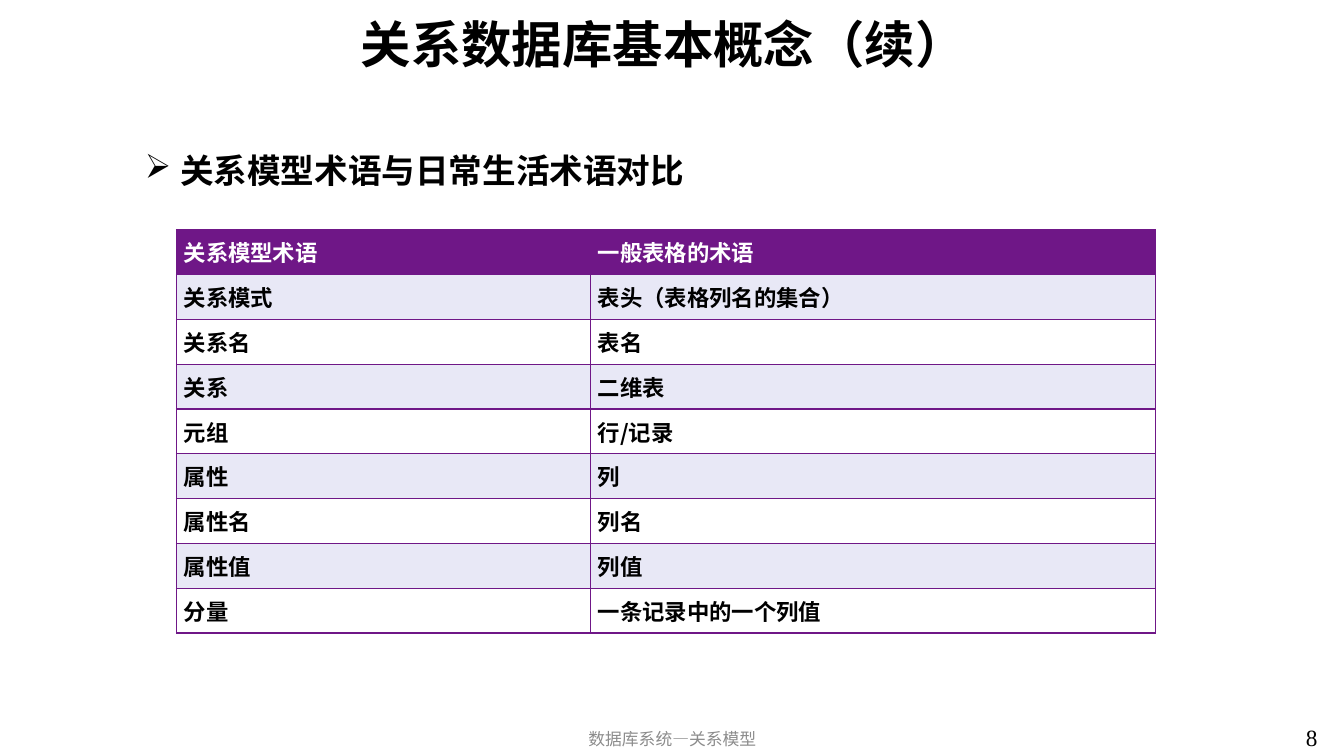
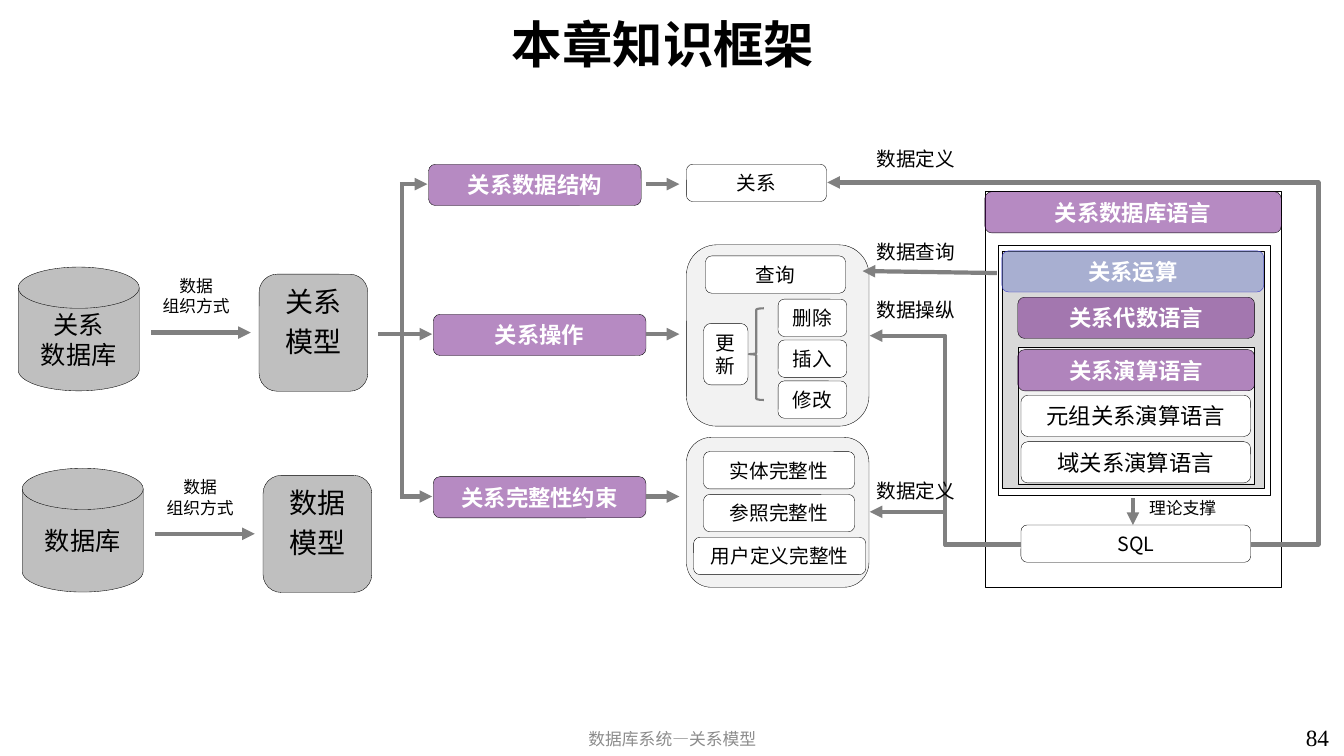
from dataclasses import dataclass

from lxml.etree import SubElement
from pptx import Presentation
from pptx.dml.color import RGBColor
from pptx.enum.shapes import MSO_CONNECTOR as Link, MSO_SHAPE as Kind
from pptx.enum.text import MSO_ANCHOR as Anchor, PP_ALIGN as Align
from pptx.oxml.ns import qn
from pptx.util import Cm, Pt


@dataclass(frozen=True)
class Theme:
    font: str = "Noto Sans CJK SC"
    number_font: str = "Times New Roman"
    black: str = "000000"
    white: str = "FFFFFF"
    purple: str = "6F1787"
    blue: str = "7886CA"
    blue_line: str = "3333CC"
    band: str = "E8E8F6"
    pale: str = "F2F2F2"
    light: str = "D9D9D9"
    silver: str = "BFBFBF"
    arrow: str = "808080"
    muted: str = "8C8C8C"
    title: float = 36
    heading: float = 24
    model: float = 20
    store: float = 18
    topic: float = 16
    item: float = 14
    note: float = 12
    number: float = 16.6
    hairline: float = 0.25
    brace: float = 1.5
    arrow_width: float = 3


THEME = Theme()
FOOTER = "数据库系统—关系模型"


class Deck:
    """Holds the style and the current slide, and draws each kind of element."""

    def __init__(self, theme):
        self.theme = theme
        self.show = Presentation()
        self.show.slide_width, self.show.slide_height = Cm(33.87), Cm(19.05)
        self.page = None

    def add_text(self, frame, lines, size, color=None, bold=False, align=Align.CENTER,
                 anchor=Anchor.TOP, font=None, gap=0):
        font = font or self.theme.font
        frame.word_wrap = True
        frame.vertical_anchor = anchor
        for index, line in enumerate(lines):
            para = frame.add_paragraph() if index else frame.paragraphs[0]
            para.alignment = align
            if index and gap:
                para.space_before = Pt(gap)
            span = para.add_run()
            span.text = line
            span.font.name = font
            span.font.size = Pt(size)
            span.font.bold = bold
            span.font.color.rgb = RGBColor.from_string(color or self.theme.black)
            SubElement(span.font._element, qn("a:ea"), typeface=font)

    def add_page(self, title, number):
        self.page = self.show.slides.add_slide(self.show.slide_layouts[5])
        box = self.page.shapes.title
        box.left, box.top, box.width, box.height = Cm(2.69), Cm(0.15), Cm(28.04), Cm(1.88)
        self.add_text(box.text_frame, [title], self.theme.title, bold=True,
                      anchor=Anchor.MIDDLE)
        self.label([FOOTER], 11.23, 18.19, 11.43, 0.86, self.theme.note,
                   color=self.theme.muted, anchor=Anchor.MIDDLE)
        self.label([str(number)], 32.66, 18.11, 1.2, 0.94, self.theme.number,
                   align=Align.LEFT, font=self.theme.number_font)

    def label(self, lines, left, top, width, height, size, **style):
        box = self.page.shapes.add_textbox(Cm(left), Cm(top), Cm(width), Cm(height))
        self.add_text(box.text_frame, lines, size, **style)
        return box

    def heading(self, text, left, top, width, height):
        box = self.label([text], left, top, width, height, self.theme.heading,
                         bold=True, align=Align.LEFT)
        layout = box.text_frame.paragraphs[0]._p.get_or_add_pPr()
        layout.set("marL", str(Cm(0.89)))
        layout.set("indent", str(-Cm(0.89)))
        SubElement(layout, qn("a:buChar"), char="➢")

    def shape(self, kind, left, top, width, height, fill=None, line=None,
              weight=None, opacity=None):
        shape = self.page.shapes.add_shape(kind, Cm(left), Cm(top), Cm(width), Cm(height))
        shape.shadow.inherit = False
        if fill:
            shape.fill.solid()
            shape.fill.fore_color.rgb = RGBColor.from_string(fill)
        else:
            shape.fill.background()
        if opacity:
            color = shape.element.spPr.find(qn("a:solidFill"))[0]
            SubElement(color, qn("a:alpha"), val=str(opacity * 1000))
        shape.line.color.rgb = RGBColor.from_string(line or self.theme.black)
        shape.line.width = Pt(weight or self.theme.hairline)
        return shape

    def box(self, text, left, top, width, height, size, fill=None, color=None,
            bold=False, **look):
        shape = self.shape(Kind.ROUNDED_RECTANGLE, left, top, width, height,
                           fill or self.theme.white, **look)
        frame = shape.text_frame
        frame.margin_top = frame.margin_bottom = 0
        self.add_text(frame, [text], size, color, bold, anchor=Anchor.MIDDLE)

    def topic(self, text, left, top, width, fill=None, line=None):
        self.box(text, left, top, width, 1.04, self.theme.topic, fill or self.theme.purple,
                 self.theme.white, True, line=line, opacity=50)

    def item(self, text, left, top, width, height=0.94):
        self.box(text, left, top, width, height, self.theme.item)

    def arrow(self, start, end, head=True, bend=None):
        kind = Link.STRAIGHT if bend is None else Link.ELBOW
        line = self.page.shapes.add_connector(kind, *map(Cm, start + end))
        line.line.color.rgb = RGBColor.from_string(self.theme.arrow)
        line.line.width = Pt(self.theme.arrow_width)
        outline = line.element.spPr
        if head:
            SubElement(outline.find(qn("a:ln")), qn("a:tailEnd"), type="triangle")
        if bend is not None:
            guides = outline.find(qn("a:prstGeom")).find(qn("a:avLst"))
            SubElement(guides, qn("a:gd"), name="adj1", fmla=f"val {round(bend * 100000)}")
        SubElement(outline, qn("a:effectLst"))

    def table(self, rows, left, top, widths, row_height):
        theme = self.theme
        grid = self.page.shapes.add_table(len(rows), len(widths), Cm(left), Cm(top),
                                          Cm(sum(widths)), Cm(row_height * len(rows))).table
        grid.horz_banding = False
        for column, width in zip(grid.columns, widths):
            column.width = Cm(width)
        for index, texts in enumerate(rows):
            grid.rows[index].height = Cm(row_height)
            fill = theme.band if index % 2 else theme.white
            color = theme.black
            if index == 0:
                fill, color = theme.purple, theme.white
            for column, text in enumerate(texts):
                self.cell(grid.cell(index, column), text, fill, color)

    def cell(self, cell, text, fill, color):
        cell.margin_left = cell.margin_right = Cm(0.18)
        cell.margin_top = cell.margin_bottom = 0
        self.add_text(cell.text_frame, [text], self.theme.topic, color, True, Align.LEFT)
        cell.vertical_anchor = Anchor.MIDDLE
        properties = cell._tc.get_or_add_tcPr()
        for side in ("lnL", "lnR", "lnT", "lnB"):
            border = SubElement(properties, qn(f"a:{side}"), w=str(Pt(1)))
            paint = SubElement(border, qn("a:solidFill"))
            SubElement(paint, qn("a:srgbClr"), val=self.theme.purple)
        cell.fill.solid()
        cell.fill.fore_color.rgb = RGBColor.from_string(fill)

    def source(self, store, model, left, top):
        theme = self.theme
        disk = self.shape(Kind.FLOWCHART_MAGNETIC_DISK, left, top, 3.05, 3.12, theme.silver)
        self.add_text(disk.text_frame, store, theme.store, anchor=Anchor.MIDDLE)
        block = self.shape(Kind.ROUNDED_RECTANGLE, left + 6.07, top + 0.18, 2.74, 2.95,
                           theme.silver)
        self.add_text(block.text_frame, model, theme.model, gap=4.5)
        self.arrow((left + 3.35, top + 1.65), (left + 5.86, top + 1.65))
        self.label(["数据", "组织方式"], left + 2.87, top + 0.1, 3.23, 1.42, theme.note)


def add_terms(deck):
    deck.add_page("关系数据库基本概念（续）", 8)
    deck.table([
        ("关系模型术语", "一般表格的术语"),
        ("关系模式", "表头（表格列名的集合）"),
        ("关系名", "表名"),
        ("关系", "二维表"),
        ("元组", "行/记录"),
        ("属性", "列"),
        ("属性名", "列名"),
        ("属性值", "列值"),
        ("分量", "一条记录中的一个列值"),
    ], 4.45, 5.79, (10.44, 14.22), 1.13)
    deck.heading("关系模型术语与日常生活术语对比", 3.4, 3.66, 15.11, 1.3)


def add_branches(deck):
    deck.source(["关系", "数据库"], ["关系", "模型"], 0.46, 6.73)
    deck.source(["数据库"], ["数据", "模型"], 0.56, 11.8)
    branches = [("关系数据结构", 10.8, 4.14, 10.08), ("关系操作", 10.92, 7.92, 9.53),
                ("关系完整性约束", 10.92, 12.01, 10.08)]
    for text, left, top, start in branches:
        middle = top + 0.5
        deck.topic(text, left, top, 5.36)
        deck.arrow((start, middle), (left - 0.03, middle))
        deck.arrow((16.28, middle), (17.12, middle))
    deck.arrow((10.13, 4.64), (10.13, 12.51), head=False)


def add_details(deck):
    theme = deck.theme
    deck.item("关系", 17.3, 4.14, 3.53)
    for top, height in ((6.17, 4.57), (11.02, 3.78)):
        deck.shape(Kind.ROUNDED_RECTANGLE, 17.3, top, 4.6, height, theme.pale)
    deck.item("查询", 17.78, 6.45, 3.53)
    deck.item("更新", 17.73, 8.15, 1.12, 1.55)
    deck.shape(Kind.LEFT_BRACE, 18.87, 7.77, 0.38, 2.31, line=theme.arrow, weight=theme.brace)
    for index, text in enumerate(("删除", "插入", "修改")):
        deck.item(text, 19.61, 7.54 + 1.03 * index, 1.73)
    rules = [("实体完整性", 17.73, 3.81), ("参照完整性", 17.73, 3.81),
             ("用户定义完整性", 17.48, 4.34)]
    for index, (text, left, width) in enumerate(rules):
        deck.item(text, left, 11.38 + 1.08 * index, width)


def add_languages(deck):
    theme = deck.theme
    deck.shape(Kind.RECTANGLE, 24.82, 4.83, 7.47, 9.98, theme.white)
    deck.shape(Kind.RECTANGLE, 25.15, 6.17, 6.86, 6.32)
    deck.shape(Kind.RECTANGLE, 25.25, 6.32, 6.6, 5.99, theme.light)
    deck.shape(Kind.RECTANGLE, 25.65, 8.74, 5.97, 3.45, theme.pale)
    deck.topic("关系数据库语言", 24.82, 4.83, 7.47)
    deck.topic("关系运算", 25.25, 6.32, 6.6, theme.blue, theme.blue_line)
    deck.topic("关系代数语言", 25.65, 7.49, 5.97)
    deck.topic("关系演算语言", 25.65, 8.81, 5.97)
    for text, top in (("元组关系演算语言", 9.96), ("域关系演算语言", 11.13)):
        deck.box(text, 25.73, top, 5.79, 1.04, theme.topic)
    deck.item("SQL", 25.73, 13.23, 5.79)
    deck.label(["理论支撑"], 28.19, 12.42, 3.23, 0.86, theme.note)
    deck.arrow((28.55, 12.55), (28.55, 13.23))


def add_uses(deck):
    deck.arrow((25.73, 13.72), (21.92, 12.9), bend=0.5)
    deck.arrow((25.73, 13.72), (21.92, 8.46), bend=0.5)
    deck.arrow((25.12, 6.88), (21.74, 6.83))
    deck.arrow((31.52, 13.72), (20.85, 4.6), bend=-0.16)
    uses = [("数据定义", 3.58), ("数据查询", 5.92), ("数据操纵", 7.39), ("数据定义", 11.94)]
    for text, top in uses:
        deck.label([text], 21.84, top, 3.23, 0.86, deck.theme.item, align=Align.LEFT)


def main():
    deck = Deck(THEME)
    add_terms(deck)
    deck.add_page("本章知识框架", 84)
    for draw in (add_branches, add_details, add_languages, add_uses):
        draw(deck)
    deck.show.save("out.pptx")


if __name__ == "__main__":
    main()
